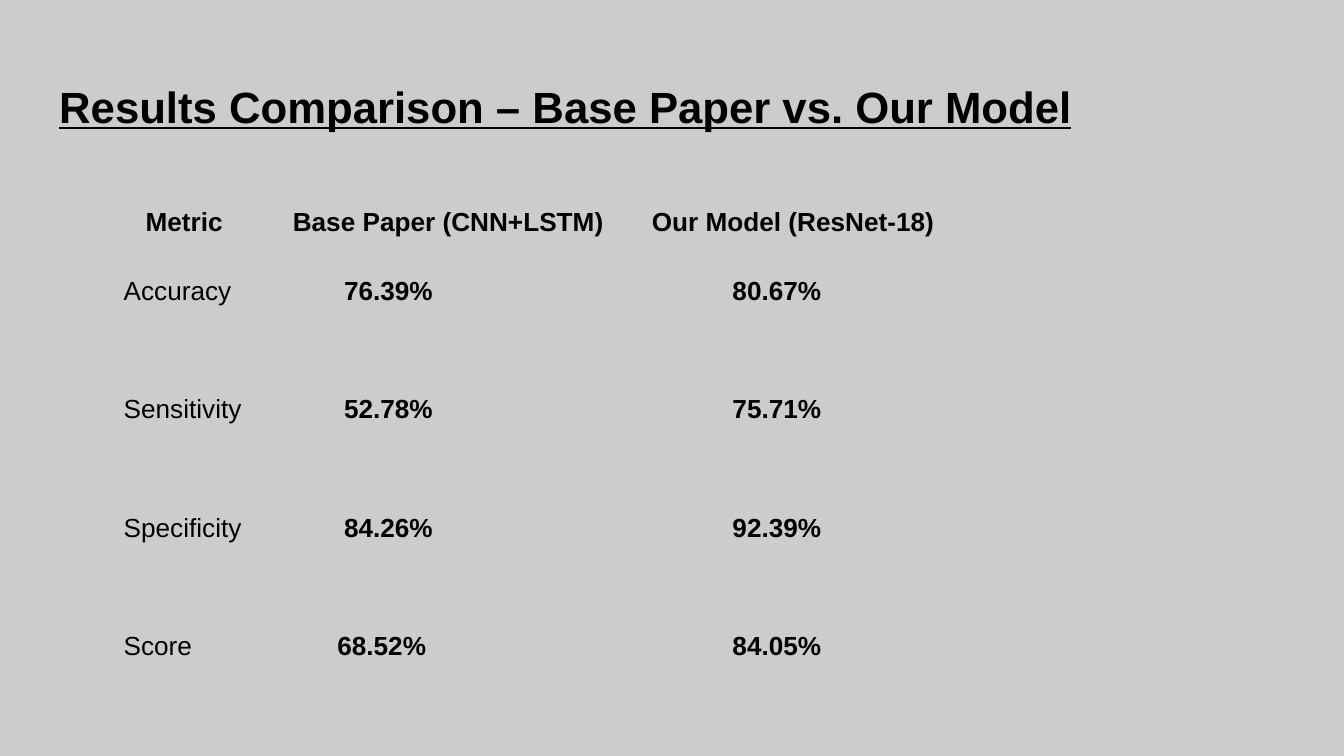
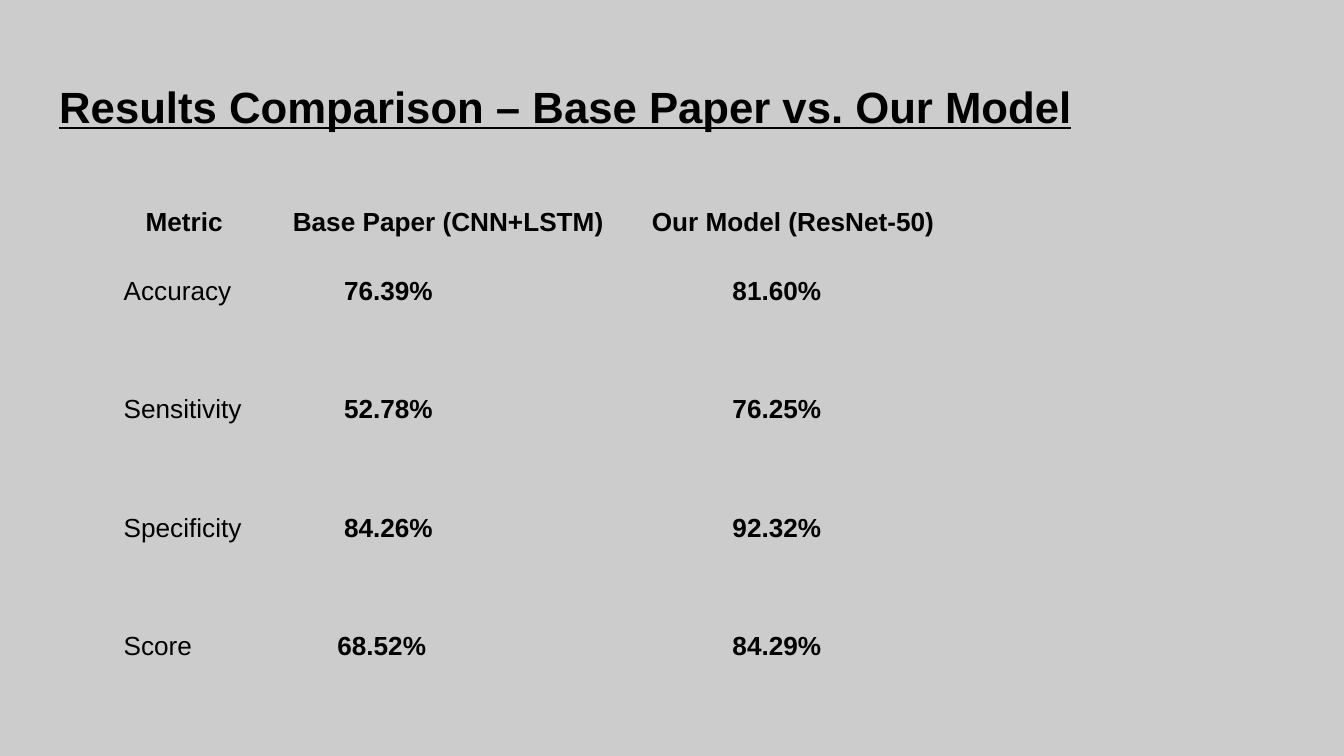
from pptx import Presentation
from pptx.dml.color import RGBColor
from pptx.enum.text import MSO_ANCHOR as Anchor, MSO_AUTO_SIZE as AutoSize, PP_ALIGN as Align
from pptx.util import Inches, Pt

BACKGROUND = RGBColor(0xCC, 0xCC, 0xCC)
INK = RGBColor(0x00, 0x00, 0x00)
FONT = "Arial"
NO_TABLE_STYLE = "{2D5ABB26-0587-4C30-8999-92F81FD0307C}"

SLIDE_WIDTH = 10
SLIDE_HEIGHT = SLIDE_WIDTH * 9 / 16
TITLE_BOX = (0.34, 0.49, 9.32, 0.63)
TABLE_ORIGIN = (0.82, 1.41)
COLUMN_WIDTHS = (1.1, 2.83, 3.59)
ROW_HEIGHTS = (0.55, 0.88, 0.88, 0.88, 0.58)
INSET = 0.1
VALUE_INSETS = (INSET, 0.64, 0.7)
SCORE_INSETS = (INSET, 0.59, 0.7)

TITLE = "Results Comparison – Base Paper vs. Our Model"
METRICS = ("Accuracy", "Sensitivity", "Specificity", "Score")
BASE_PAPER = ("76.39%", "52.78%", "84.26%", "68.52%")
OUR_MODELS = {
    "ResNet-18": ("80.67%", "75.71%", "92.39%", "84.05%"),
    "ResNet-50": ("81.60%", "76.25%", "92.32%", "84.29%"),
}


def write(frame, text, size=14, bold=True, underline=False, align=Align.LEFT, spacing=1.0):
    paragraph = frame.paragraphs[0]
    paragraph.alignment = align
    paragraph.line_spacing = spacing
    run = paragraph.add_run()
    run.text = text
    font = run.font
    font.name, font.size, font.bold, font.underline = FONT, Pt(size), bold, underline
    font.color.rgb = INK


def set_insets(holder, left=INSET):
    """Set the inner margins of a text frame or a table cell."""
    holder.margin_left = Inches(left)
    holder.margin_right = holder.margin_top = holder.margin_bottom = Inches(INSET)


def add_title(slide):
    title = slide.shapes.title
    title.left, title.top, title.width, title.height = map(Inches, TITLE_BOX)
    frame = title.text_frame
    frame.word_wrap = True
    frame.auto_size = AutoSize.NONE
    frame.vertical_anchor = Anchor.TOP
    set_insets(frame)
    write(frame, TITLE, size=23.4, underline=True)


def fill_cell(cell, text, left=INSET, **text_format):
    cell.fill.background()
    cell.vertical_anchor = Anchor.TOP
    set_insets(cell, left)
    write(cell.text_frame, text, **text_format)


def add_plain_table(slide):
    """Add the table grid without banding, fills or borders."""
    extent = (sum(COLUMN_WIDTHS), sum(ROW_HEIGHTS))
    holder = slide.shapes.add_table(
        len(ROW_HEIGHTS), len(COLUMN_WIDTHS), *map(Inches, TABLE_ORIGIN + extent))
    for style_id in holder.element.xpath(".//a:tableStyleId"):
        style_id.text = NO_TABLE_STYLE
    table = holder.table
    table.first_row = table.horz_banding = False
    for column, width in zip(table.columns, COLUMN_WIDTHS):
        column.width = Inches(width)
    for row, height in zip(table.rows, ROW_HEIGHTS):
        row.height = Inches(height)
    return table


def add_comparison(slide, model, results):
    table = add_plain_table(slide)
    headings = ("Metric", "Base Paper (CNN+LSTM)", f"Our Model ({model})")
    alignments = (Align.CENTER, Align.CENTER, Align.LEFT)
    for column, (heading, align) in enumerate(zip(headings, alignments)):
        fill_cell(table.cell(0, column), heading, align=align, spacing=1.15)
    for row, entries in enumerate(zip(METRICS, BASE_PAPER, results), start=1):
        insets = SCORE_INSETS if entries[0] == "Score" else VALUE_INSETS
        for column, (entry, left) in enumerate(zip(entries, insets)):
            fill_cell(table.cell(row, column), entry, left, bold=column > 0)


def main():
    deck = Presentation()
    deck.slide_width, deck.slide_height = Inches(SLIDE_WIDTH), Inches(SLIDE_HEIGHT)
    backdrop = deck.slide_master.background.fill
    backdrop.solid()
    backdrop.fore_color.rgb = BACKGROUND
    title_only = deck.slide_layouts.get_by_name("Title Only")
    for model, results in OUR_MODELS.items():
        slide = deck.slides.add_slide(title_only)
        add_title(slide)
        add_comparison(slide, model, results)
    deck.save("out.pptx")


if __name__ == "__main__":
    main()
